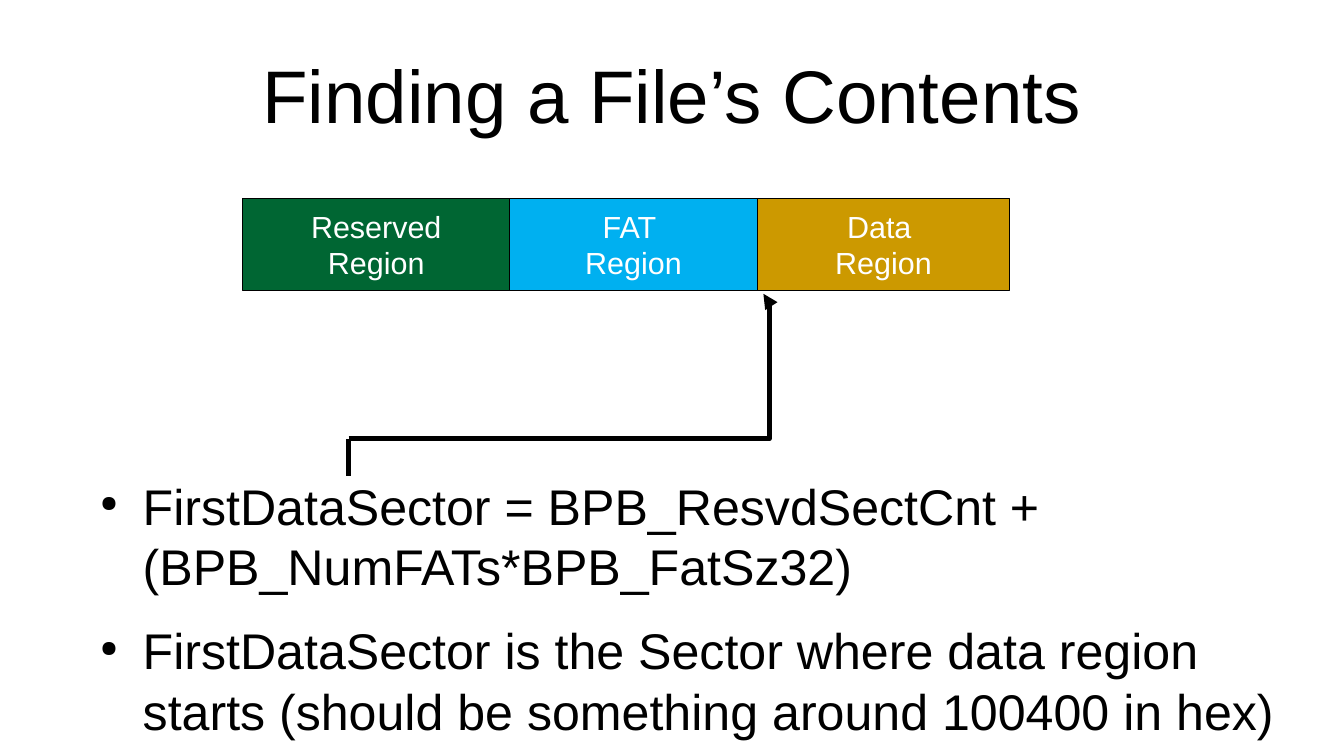
from pptx import Presentation
from pptx.dml.color import RGBColor
from pptx.enum.shapes import MSO_CONNECTOR, MSO_SHAPE
from pptx.enum.text import MSO_ANCHOR, PP_ALIGN
from pptx.oxml.ns import qn
from pptx.util import Inches, Pt
from lxml.etree import SubElement

BLACK = RGBColor(0x00, 0x00, 0x00)
WHITE = RGBColor(0xFF, 0xFF, 0xFF)
GREEN = RGBColor(0x00, 0x66, 0x33)
BLUE = RGBColor(0x00, 0xB0, 0xF0)
GOLD = RGBColor(0xCC, 0x99, 0x00)

REGIONS = [
    ("Reserved\nRegion", 2.19, GREEN),
    ("FAT \nRegion", 2.03, BLUE),
    ("Data \nRegion", 2.07, GOLD),
]
BULLETS = [
    "FirstDataSector = BPB_ResvdSectCnt + (BPB_NumFATs*BPB_FatSz32)",
    "FirstDataSector is the Sector where data region starts "
    "(should be something around 100400 in hex)",
]


def format_paragraph(paragraph, size, color):
    paragraph.font.name = "Arial"
    paragraph.font.size = Pt(size)
    paragraph.font.color.rgb = color


def add_text_box(slide, left, top, width, height):
    """Add a wrapping text box without margins and return its text frame."""
    box = slide.shapes.add_textbox(
        Inches(left), Inches(top), Inches(width), Inches(height))
    text_frame = box.text_frame
    text_frame.word_wrap = True
    text_frame.margin_left = text_frame.margin_right = 0
    text_frame.margin_top = text_frame.margin_bottom = 0
    return text_frame


def add_title(slide, text):
    text_frame = add_text_box(slide, 0.55, 0.25, 9.92, 1.04)
    text_frame.vertical_anchor = MSO_ANCHOR.MIDDLE
    text_frame.text = text
    paragraph = text_frame.paragraphs[0]
    paragraph.alignment = PP_ALIGN.CENTER
    format_paragraph(paragraph, 44, BLACK)


def set_bullet(paragraph):
    properties = paragraph._p.get_or_add_pPr()
    properties.set("marL", str(Inches(0.47)))
    properties.set("indent", str(Inches(-0.35)))
    color = SubElement(properties, qn("a:buClr"))
    SubElement(color, qn("a:srgbClr"), val=str(BLACK))
    SubElement(properties, qn("a:buSzPct"), val="45000")
    SubElement(properties, qn("a:buChar"), char="●")


def add_bullets(slide, texts):
    text_frame = add_text_box(slide, 0.7, 3.9, 9.92, 1.8)
    text_frame.text = "\n".join(texts)
    for index, paragraph in enumerate(text_frame.paragraphs):
        set_bullet(paragraph)
        if index:
            paragraph.space_before = Pt(14.2)
        format_paragraph(paragraph, 29.6, BLACK)


def add_region(slide, text, left, width, color):
    shape = slide.shapes.add_shape(
        MSO_SHAPE.RECTANGLE, Inches(left), Inches(1.63), Inches(width), Inches(0.75))
    shape.shadow.inherit = False
    shape.fill.solid()
    shape.fill.fore_color.rgb = color
    shape.line.color.rgb = BLACK
    shape.line.width = Pt(0.75)
    text_frame = shape.text_frame
    text_frame.word_wrap = False
    text_frame.vertical_anchor = MSO_ANCHOR.MIDDLE
    text_frame.text = text
    for paragraph in text_frame.paragraphs:
        paragraph.alignment = PP_ALIGN.CENTER
        format_paragraph(paragraph, 18, WHITE)


def add_line(slide, kind, start, end):
    connector = slide.shapes.add_connector(
        kind, *(Inches(value) for value in start + end))
    connector.line.color.rgb = BLACK
    connector.line.width = Pt(2.89)
    SubElement(connector._element.spPr, qn("a:effectLst"))
    return connector


def add_pointer(slide):
    """Lead from the first bullet up to the start of the data region."""
    corner = (2.86, 3.6)
    arrow = add_line(slide, MSO_CONNECTOR.ELBOW, corner, (6.26, 2.41))
    SubElement(arrow.line._get_or_add_ln(), qn("a:tailEnd"), type="triangle")
    geometry = arrow._element.spPr.find(qn("a:prstGeom"))
    SubElement(geometry.find(qn("a:avLst")), qn("a:gd"), name="adj1", fmla="val 101400")
    add_line(slide, MSO_CONNECTOR.STRAIGHT, corner, (2.86, 3.9))


def main():
    presentation = Presentation()
    presentation.slide_width = Inches(11.02)
    presentation.slide_height = Inches(6.2)
    slide = presentation.slides.add_slide(presentation.slide_layouts[6])

    add_title(slide, "Finding a File’s Contents")
    add_bullets(slide, BULLETS)
    left = 1.99
    for text, width, color in REGIONS:
        add_region(slide, text, left, width, color)
        left += width
    add_pointer(slide)

    presentation.save("out.pptx")


if __name__ == "__main__":
    main()
